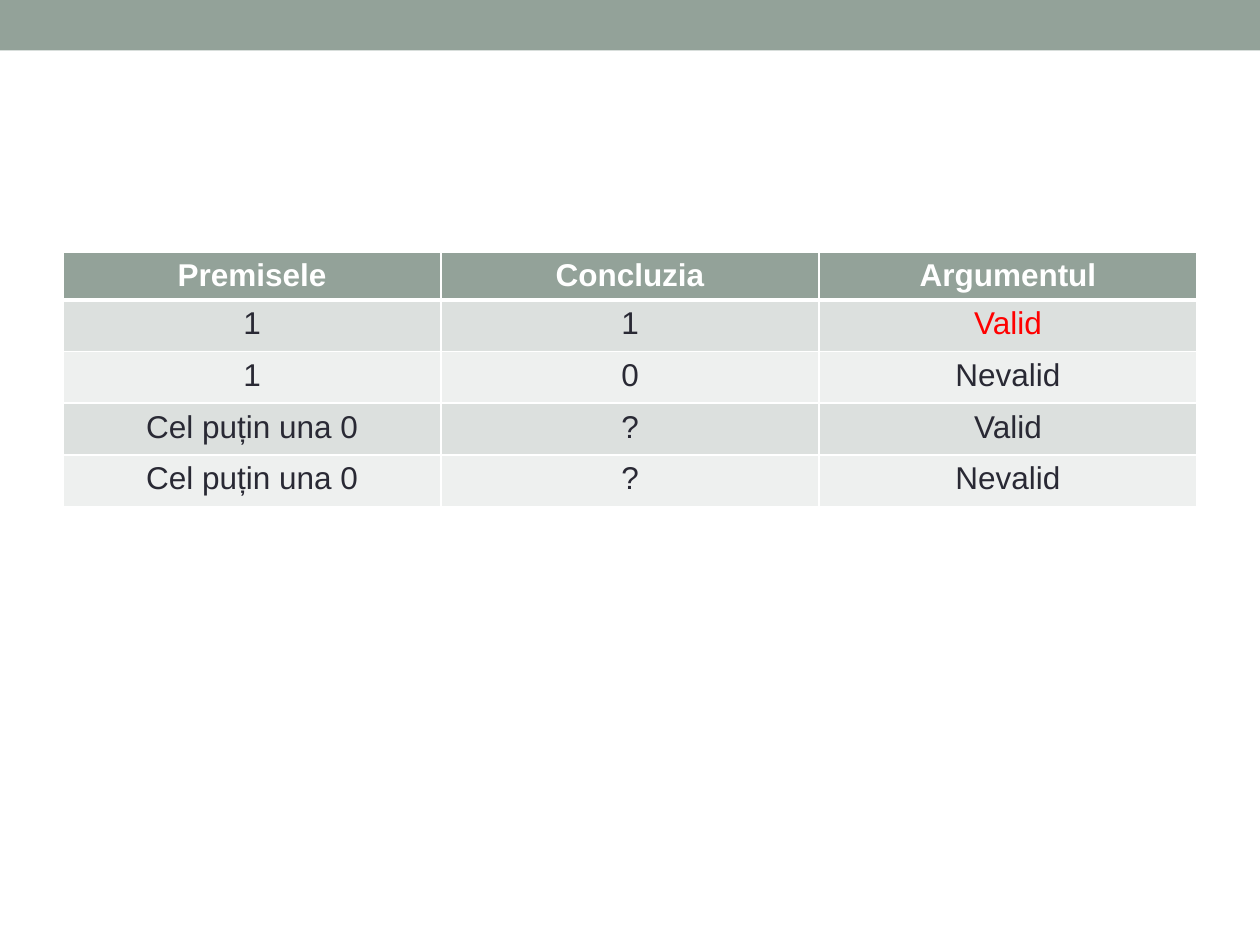
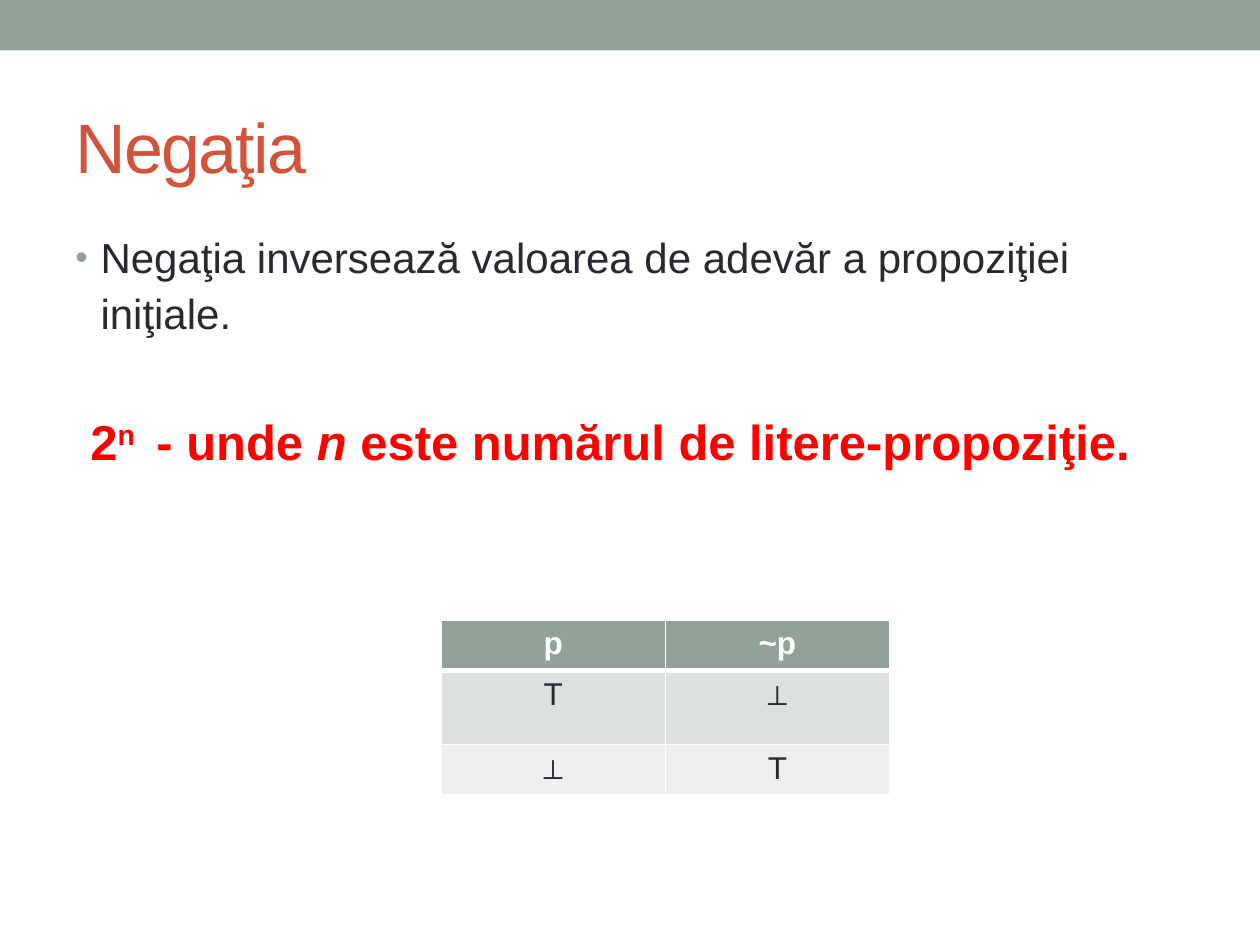
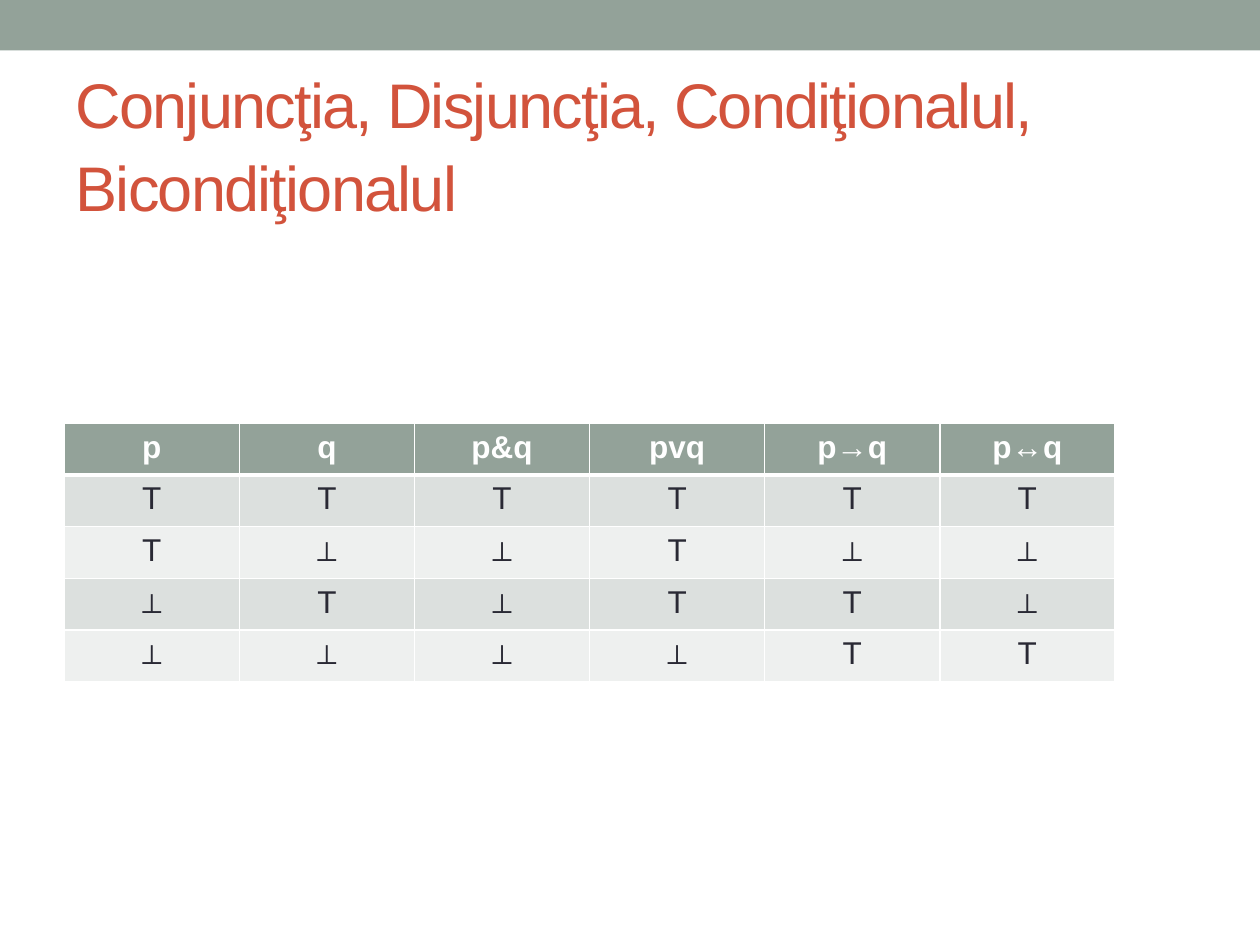
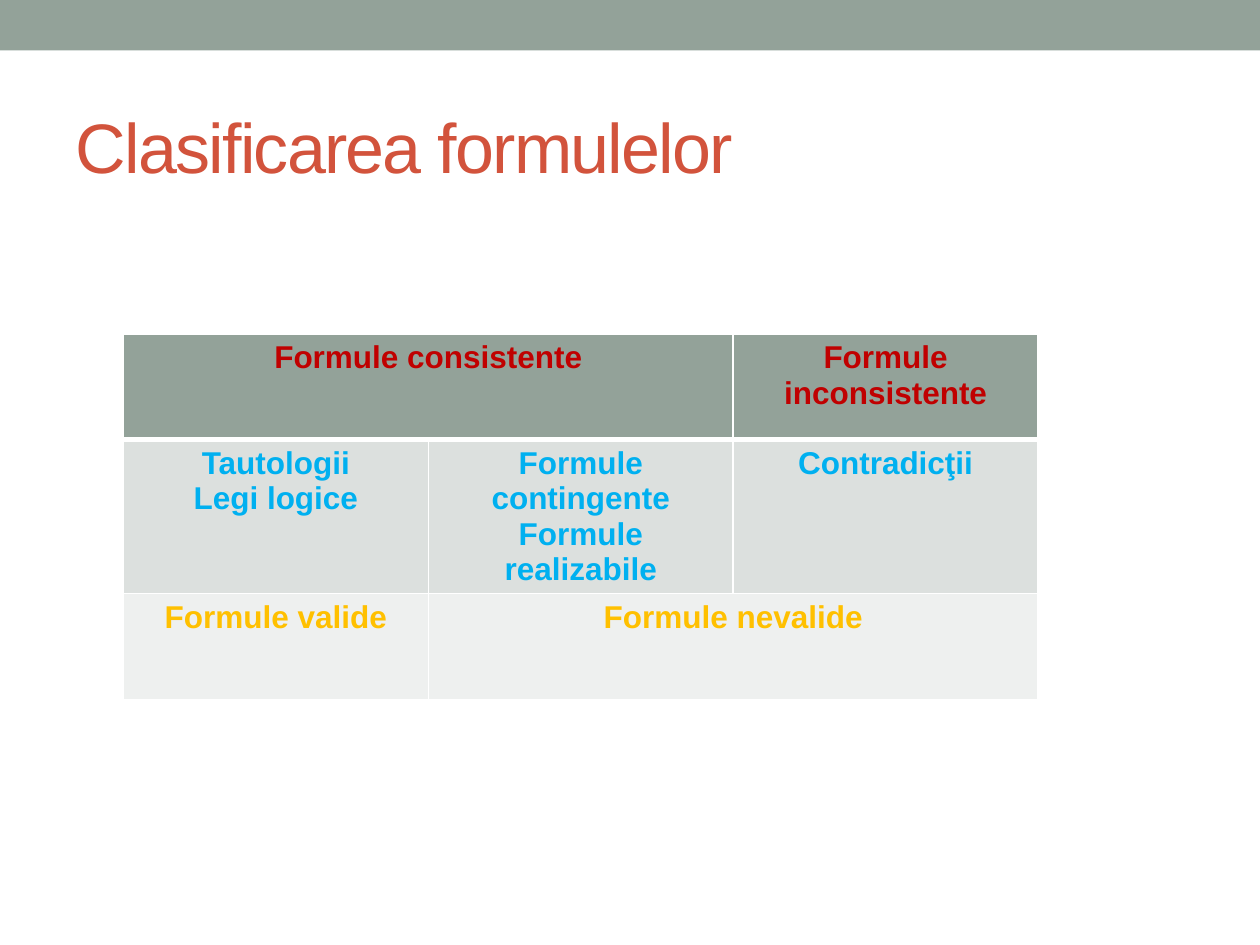
from lxml import etree
from pptx import Presentation
from pptx.dml.color import RGBColor
from pptx.enum.shapes import MSO_SHAPE
from pptx.enum.text import MSO_ANCHOR, MSO_AUTO_SIZE, PP_ALIGN
from pptx.oxml import parse_xml
from pptx.oxml.ns import nsdecls, qn
from pptx.util import Inches, Pt

RECTANGLE = MSO_SHAPE.RECTANGLE
MIDDLE = MSO_ANCHOR.MIDDLE
NO_AUTOFIT = MSO_AUTO_SIZE.NONE
LEFT, CENTER = PP_ALIGN.LEFT, PP_ALIGN.CENTER

FONT = "Arial"
SAGE, RUST, INK, WHITE = "93A299", "D2533C", "292934", "FFFFFF"
RED, DARK_RED, SKY, GOLD = "FF0000", "C00000", "00B0F0", "FFC000"
STRIPES = ["DCE0DE", "EEF0EF"]
MARGIN, CONTENT_WIDTH = 0.5, 9
LINE_SPACING = 1.1
TITLE_ONLY, BLANK = 5, 6


def rgb(hex_color):
    return RGBColor.from_string(hex_color)


def add_grid(slide, left, top, column_width, row_heights, rows, row_colors, bold_body=False):
    """Add a banded table; a None entry extends the cell on its left."""
    column_count = len(rows[0])
    table = slide.shapes.add_table(
        len(rows), column_count, Inches(left), Inches(top),
        Inches(column_width * column_count), Inches(sum(row_heights))).table
    for column in table.columns:
        column.width = Inches(column_width)
    for r, entries in enumerate(rows):
        table.rows[r].height = Inches(row_heights[r])
        for c, entry in enumerate(entries):
            cell = table.cell(r, c)
            properties = cell._tc.get_or_add_tcPr()
            for side in "LRTB":
                thick = (r, side) in [(0, "B"), (1, "T")]
                properties.append(parse_xml(
                    f'<a:ln{side} {nsdecls("a")} w="{Pt(3 if thick else 1)}"><a:solidFill>'
                    f'<a:srgbClr val="{WHITE}"/></a:solidFill></a:ln{side}>'))
            cell.fill.solid()
            cell.fill.fore_color.rgb = rgb(STRIPES[(r - 1) % 2] if r else SAGE)
            if entry is None:
                table.cell(r, c - 1).merge(cell)
                continue
            for i, line in enumerate(entry.split("\n")):
                frame = cell.text_frame
                paragraph = frame.add_paragraph() if i else frame.paragraphs[0]
                paragraph.alignment = CENTER
                run = paragraph.add_run()
                run.text = line
                run.font.name = FONT
                run.font.size = Pt(18)
                run.font.bold = r == 0 or bold_body
                run.font.color.rgb = rgb(row_colors[r])
    return table


prs = Presentation()
prs.slide_width, prs.slide_height = Inches(10), Inches(7.5)

# Slides and their titles
slides = []
for heading, size in [
    (None, None),
    ("Negaţia", 40),
    ("Conjuncţia, Disjuncţia, Condiţionalul, Bicondiţionalul", 36),
    ("Clasificarea formulelor", 40),
]:
    slide = prs.slides.add_slide(prs.slide_layouts[TITLE_ONLY if heading else BLANK])
    slides.append(slide)
    if not heading:
        continue
    title = slide.shapes.title
    title.left, title.top = Inches(MARGIN), Inches(0.58)
    title.width, title.height = Inches(CONTENT_WIDTH), Inches(1.08)
    title.text_frame.auto_size = NO_AUTOFIT
    title.text_frame.vertical_anchor = MIDDLE
    paragraph = title.text_frame.paragraphs[0]
    paragraph.alignment = LEFT
    paragraph.line_spacing = LINE_SPACING
    run = paragraph.add_run()
    run.text = heading
    run.font.name = FONT
    run.font.size = Pt(size)
    run.font.color.rgb = rgb(RUST)
    run.font._element.set("spc", "-100")
arguments, negation, connectives, classification = slides

# Top band, moved to the slide master so that every slide shows it
band = arguments.shapes.add_shape(RECTANGLE, 0, 0, prs.slide_width, Inches(0.4))
band.shadow.inherit = False
band.fill.solid()
band.fill.fore_color.rgb = rgb(SAGE)
band.line.fill.background()
band.element.nvSpPr.cNvPr.set("id", "20")
prs.slide_master.element.cSld.spTree.insert(2, band.element)

# Slide 1: validity of arguments
validity = add_grid(
    arguments, MARGIN, 2, 3, [0.37] + [0.41] * 4,
    [["Premisele", "Concluzia", "Argumentul"],
     ["1", "1", "Valid"],
     ["1", "0", "Nevalid"],
     ["Cel puțin una 0", "?", "Valid"],
     ["Cel puțin una 0", "?", "Nevalid"]],
    [WHITE] + [INK] * 4)
sound_case = validity.cell(1, 2).text_frame.paragraphs[0].runs[0]
sound_case.font.color.rgb = rgb(RED)

# Slide 2: negation
body = negation.shapes.add_textbox(
    Inches(MARGIN), Inches(1.75), Inches(CONTENT_WIDTH), Inches(5.33)).text_frame
body.word_wrap = True
rule, row_count = body.paragraphs[0], body.add_paragraph()

rule_properties = rule._p.get_or_add_pPr()
rule_properties.set("marL", str(Inches(0.2)))
rule_properties.set("indent", str(Inches(-0.2)))
rule.line_spacing = row_count.line_spacing = LINE_SPACING
bullet_color = etree.SubElement(rule_properties, qn("a:buClr"))
etree.SubElement(bullet_color, qn("a:srgbClr"), val=SAGE)
etree.SubElement(rule_properties, qn("a:buSzPct"), val="85000")
etree.SubElement(rule_properties, qn("a:buFont"), typeface=FONT)
etree.SubElement(rule_properties, qn("a:buChar"), char="•")
run = rule.add_run()
run.text = "Negaţia inversează valoarea de adevăr a propoziţiei iniţiale."
run.font.name = FONT
run.font.size = Pt(24)
run.font.color.rgb = rgb(INK)

row_count._p.get_or_add_pPr().set("marL", str(Inches(0.12)))
row_count.space_before = Pt(39)
for text, raised, italic in [
    ("2", False, False),
    ("n ", True, False),
    (" - unde ", False, False),
    ("n", False, True),
    (" este numărul de litere-propoziţie.", False, False),
]:
    run = row_count.add_run()
    run.text = text
    run.font.name = FONT
    run.font.size = Pt(28)
    run.font.bold = True
    run.font.italic = italic
    run.font.color.rgb = rgb(RED)
    if raised:
        run.font._element.set("baseline", "30000")

add_grid(negation, 3.5, 4.92, 1.78, [0.38, 0.59, 0.38],
         [["p", "~p"], ["T", "⊥"], ["⊥", "T"]], [WHITE, INK, INK])

# Slide 3: truth table of the binary connectives
add_grid(connectives, 0.51, 3.36, 1.39, [0.41] * 5,
         [["p", "q", "p&q", "pvq", "p→q", "p↔q"],
          *map(list, ["TTTTTT", "T⊥⊥T⊥⊥", "⊥T⊥TT⊥", "⊥⊥⊥⊥TT"])],
         [WHITE] + [INK] * 4)

# Slide 4: classes of formulas
add_grid(classification, 0.98, 2.65, 2.42, [0.84] * 3,
         [["Formule consistente", None, "Formule inconsistente"],
          ["Tautologii\nLegi logice", "Formule contingente\nFormule realizabile", "Contradicţii"],
          ["Formule valide", "Formule nevalide", None]],
         [DARK_RED, SKY, GOLD], bold_body=True)

prs.save("out.pptx")
